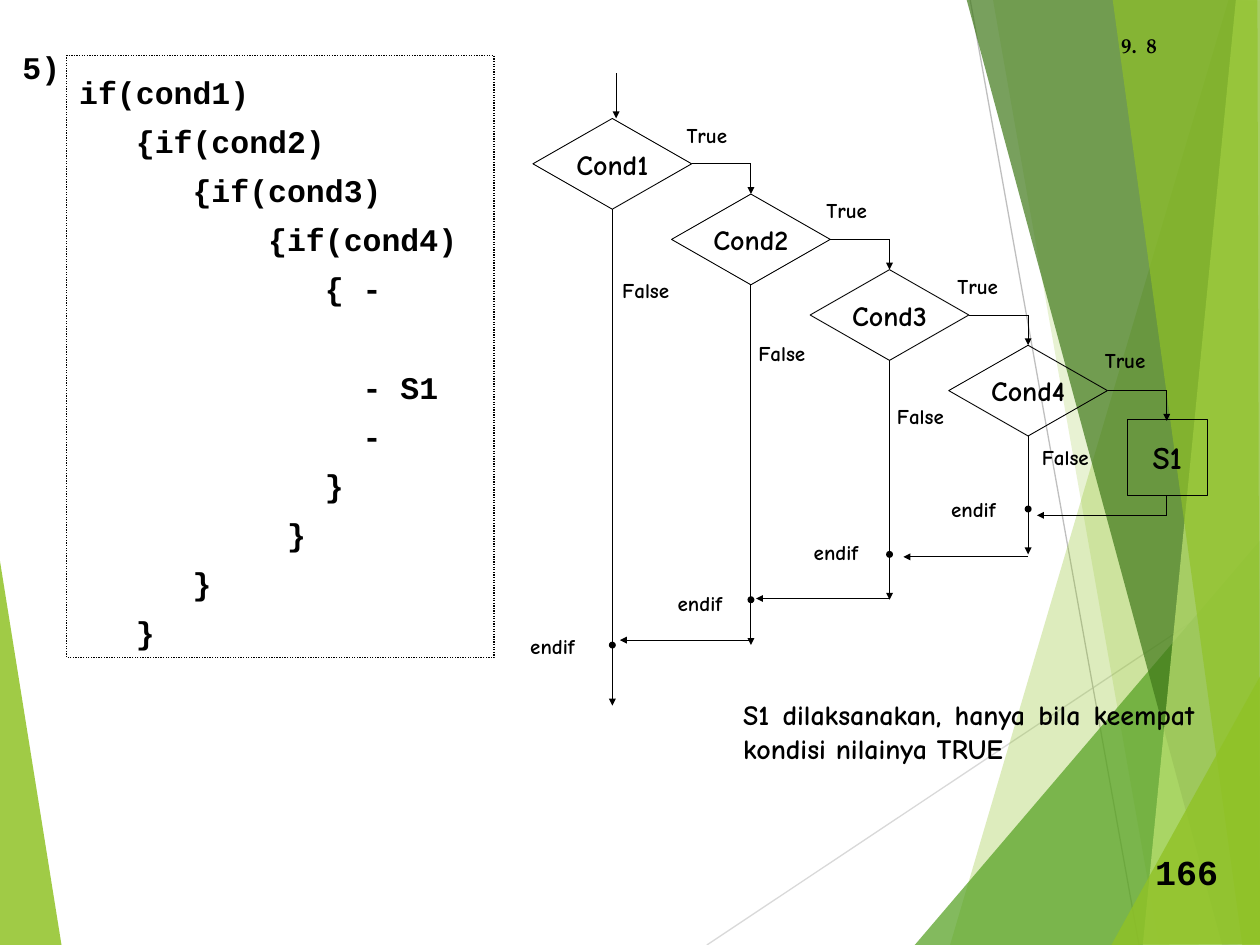
"""Build a slide that shows four nested if statements beside their flowchart."""
from dataclasses import dataclass

from pptx import Presentation
from pptx import util as u
from pptx.dml import color
from pptx.enum import dml, shapes, text
from pptx.oxml import ns, xmlchemy


@dataclass(frozen=True)
class Theme:
    ink: str = "000000"
    lime: str = "90C226"
    green: str = "54A021"
    forest: str = "3F7819"
    pale: str = "C0E474"
    gray: str = "BFBFBF"
    light_gray: str = "D9D9D9"
    hand: str = "Comic Neue"
    code: str = "Courier New"
    serif: str = "TeX Gyre Pagella"
    small: float = 12
    medium: float = 16
    large: float = 18
    number: float = 20
    thin: float = 0.5
    hairline: float = 0.75


THEME = Theme()
CODE_ADVANCE = 0.15
CODE_LINES = [
    (0, "if(cond1)"), (3, "{if(cond2)"), (6, "{if(cond3)"), (10, "{if(cond4)"),
    (13, "{ -"), (15, "- S1"), (15, "-"), (13, "}"), (11, "}"), (6, "}"), (3, "}"),
]
FACETS = [
    (THEME.lime, 85, [(-0.01, 4.39), (0.49, 7.51), (-0.01, 7.5)]),
    (THEME.lime, 30, [(9.75, 0), (7.54, 7.5), (10.02, 7.51), (10.01, 0.01)]),
    (THEME.lime, 20, [(7.88, -0.01), (9.2, 7.5), (10.01, 7.5), (10.01, -0.01)]),
    (THEME.green, 72, [(7.26, 7.5), (10, 4.29), (10.01, 7.5)]),
    (THEME.forest, 70, [(7.67, -0.01), (9.7, 7.5), (10.01, 7.49), (10.01, -0.01)]),
    (THEME.pale, 70, [(9.81, -0.01), (9.07, 7.5), (10.01, 7.5), (10, -0.01)]),
    (THEME.lime, 65, [(8.83, -0.01), (9.86, 7.5), (10, 7.5), (9.98, -0.01)]),
    (THEME.lime, 80, [(8.82, 7.5), (10.01, 5.35), (10.01, 7.49)]),
]
CONDITION_LABELS = [
    {"True": (5.35, 0.92), "False": (4.84, 2.15), "endif": (4.11, 4.98)},
    {"True": (6.46, 1.52), "False": (5.92, 2.65), "endif": (5.28, 4.64)},
    {"True": (7.5, 2.12), "False": (7.02, 3.15), "endif": (6.36, 4.23)},
    {"True": (8.67, 2.71), "False": (8.17, 3.48), "endif": (7.45, 3.89)},
]
LABEL_WIDTHS = {"True": 0.52, "False": 0.57, "endif": 0.55}
RETURN_ENDS = [4.92, 6, 7.17, 8.23]


def write_text(paragraph, content, *, font=THEME.hand, size=THEME.small,
               align=text.PP_ALIGN.LEFT, spacing=None, before=None, indent=0):
    paragraph.alignment = align
    paragraph.line_spacing = spacing
    if before is not None:
        paragraph.space_before = u.Pt(before)
    if indent:
        paragraph._p.get_or_add_pPr().set("marL", str(u.Inches(indent)))
    run = paragraph.add_run()
    run.text = content
    run.font.name = font
    run.font.size = u.Pt(size)
    run.font.bold = True
    run.font.color.rgb = color.RGBColor.from_string(THEME.ink)


class SlideBuilder:
    def __init__(self, slide, theme):
        self.slide = slide
        self.theme = theme

    def facet(self, fill, opacity, points):
        corners = [(u.Inches(x), u.Inches(y)) for x, y in points]
        builder = self.slide.shapes.build_freeform(*corners[0], scale=1.0)
        builder.add_line_segments(corners[1:], close=True)
        shape = builder.convert_to_shape()
        shape.shadow.inherit = False
        shape.line.fill.background()
        shape.fill.solid()
        shape.fill.fore_color.rgb = color.RGBColor.from_string(fill)
        tint = shape.element.spPr.find(ns.qn("a:solidFill"))[0]
        alpha = xmlchemy.OxmlElement("a:alpha")
        alpha.set("val", str(opacity * 1000))
        tint.append(alpha)

    def line(self, start, end, head=None, tail=None, ink=None, width=None):
        connector = self.slide.shapes.add_connector(
            shapes.MSO_CONNECTOR.STRAIGHT, *map(u.Inches, (*start, *end)))
        connector.line.color.rgb = color.RGBColor.from_string(ink or self.theme.ink)
        connector.line.width = u.Pt(width or self.theme.thin)
        properties = connector.element.spPr
        outline = properties.find(ns.qn("a:ln"))
        for tag, kind in (("a:headEnd", head), ("a:tailEnd", tail)):
            if kind:
                tip = xmlchemy.OxmlElement(tag)
                for name, value in (("type", kind), ("w", "sm"), ("len", "sm")):
                    tip.set(name, value)
                outline.append(tip)
        properties.append(xmlchemy.OxmlElement("a:effectLst"))

    def arrow(self, start, end, head=None):
        self.line(start, end, head=head, tail="triangle")

    def label(self, box, content, wrap=False, **style):
        frame = self.slide.shapes.add_textbox(*map(u.Inches, box)).text_frame
        frame.word_wrap = wrap
        frame.auto_size = text.MSO_AUTO_SIZE.SHAPE_TO_FIT_TEXT
        write_text(frame.paragraphs[0], content, **style)

    def outline(self, kind, box, width):
        shape = self.slide.shapes.add_shape(kind, *map(u.Inches, box))
        shape.shadow.inherit = False
        shape.fill.background()
        shape.line.color.rgb = color.RGBColor.from_string(self.theme.ink)
        shape.line.width = u.Pt(width)
        return shape

    def node(self, kind, box, content, size):
        frame = self.outline(kind, box, self.theme.thin).text_frame
        frame.word_wrap = False
        frame.vertical_anchor = text.MSO_ANCHOR.MIDDLE
        write_text(frame.paragraphs[0], content, size=size, align=text.PP_ALIGN.CENTER)

    def code_box(self, box, lines):
        shape = self.outline(shapes.MSO_SHAPE.RECTANGLE, box, self.theme.hairline)
        shape.line.dash_style = dml.MSO_LINE.ROUND_DOT
        frame = shape.text_frame
        frame.word_wrap = True
        frame.vertical_anchor = text.MSO_ANCHOR.TOP
        for index, (columns, content) in enumerate(lines):
            paragraph = frame.add_paragraph() if index else frame.paragraphs[0]
            write_text(paragraph, content, font=self.theme.code, size=self.theme.large,
                       spacing=1.3, before=28 if content == "- S1" else 0,
                       indent=columns * CODE_ADVANCE)


def draw_background(builder):
    theme = builder.theme
    builder.facet(*FACETS[0])
    builder.line((5.61, 7.5), (10.01, 4.57), ink=theme.light_gray, width=theme.hairline)
    builder.line((7.7, 0), (9.04, 7.5), ink=theme.gray, width=theme.hairline)
    for facet in FACETS[1:]:
        builder.facet(*facet)


def draw_flowchart(builder):
    theme = builder.theme
    width, height, step = 1.26, 0.72, 1.1
    builder.arrow((4.89, 0.58), (4.89, 0.94))
    for index, labels in enumerate(CONDITION_LABELS):
        left, top = 4.23 + step * index, 0.94 + 0.6 * index
        center, middle = left + width / 2, top + height / 2
        branch = center + step
        join, return_level = 5.12 - 0.36 * index, 5.08 - 0.33 * index
        builder.node(shapes.MSO_SHAPE.FLOWCHART_DECISION, (left, top, width, height),
                     f"Cond{index + 1}", theme.medium)
        builder.line((left + width, middle), (branch, middle))
        builder.arrow((branch, middle), (branch, top + 0.6))
        builder.line((center, top + height), (center, join))
        builder.arrow((center, join), (center, join + (0.36 if index else 0.48)), head="oval")
        builder.arrow((branch, return_level), (RETURN_ENDS[index], return_level))
        for content, position in labels.items():
            builder.label((*position, LABEL_WIDTHS[content], 0.3), content)
    builder.node(shapes.MSO_SHAPE.RECTANGLE, (8.95, 3.33, 0.63, 0.6), "S1", theme.large)
    builder.line((9.26, 3.93), (9.26, 4.09))


def main():
    presentation = Presentation()
    presentation.slide_width, presentation.slide_height = u.Inches(10), u.Inches(7.5)
    slide = presentation.slides.add_slide(presentation.slide_layouts[6])
    builder = SlideBuilder(slide, THEME)
    draw_background(builder)
    builder.label((0.08, 0.33, 0.5, 0.4), "5)", font=THEME.code, size=THEME.large)
    draw_flowchart(builder)
    builder.label((5.8, 5.49, 3.78, 0.64),
                  "S1 dilaksanakan, hanya bila keempat kondisi nilainya TRUE",
                  wrap=True, size=THEME.medium, align=text.PP_ALIGN.JUSTIFY)
    builder.code_box((0.53, 0.44, 3.39, 4.78), CODE_LINES)
    builder.label((9, 0.21, 0.67, 0.33), "8", wrap=True, font=THEME.serif, before=7.5)
    builder.label((8.8, 0.21, 0.34, 0.3), "9.", font=THEME.serif)
    builder.label((9.07, 6.7, 0.7, 0.44), "166", font=THEME.code, size=THEME.number)
    presentation.save("out.pptx")


if __name__ == "__main__":
    main()
